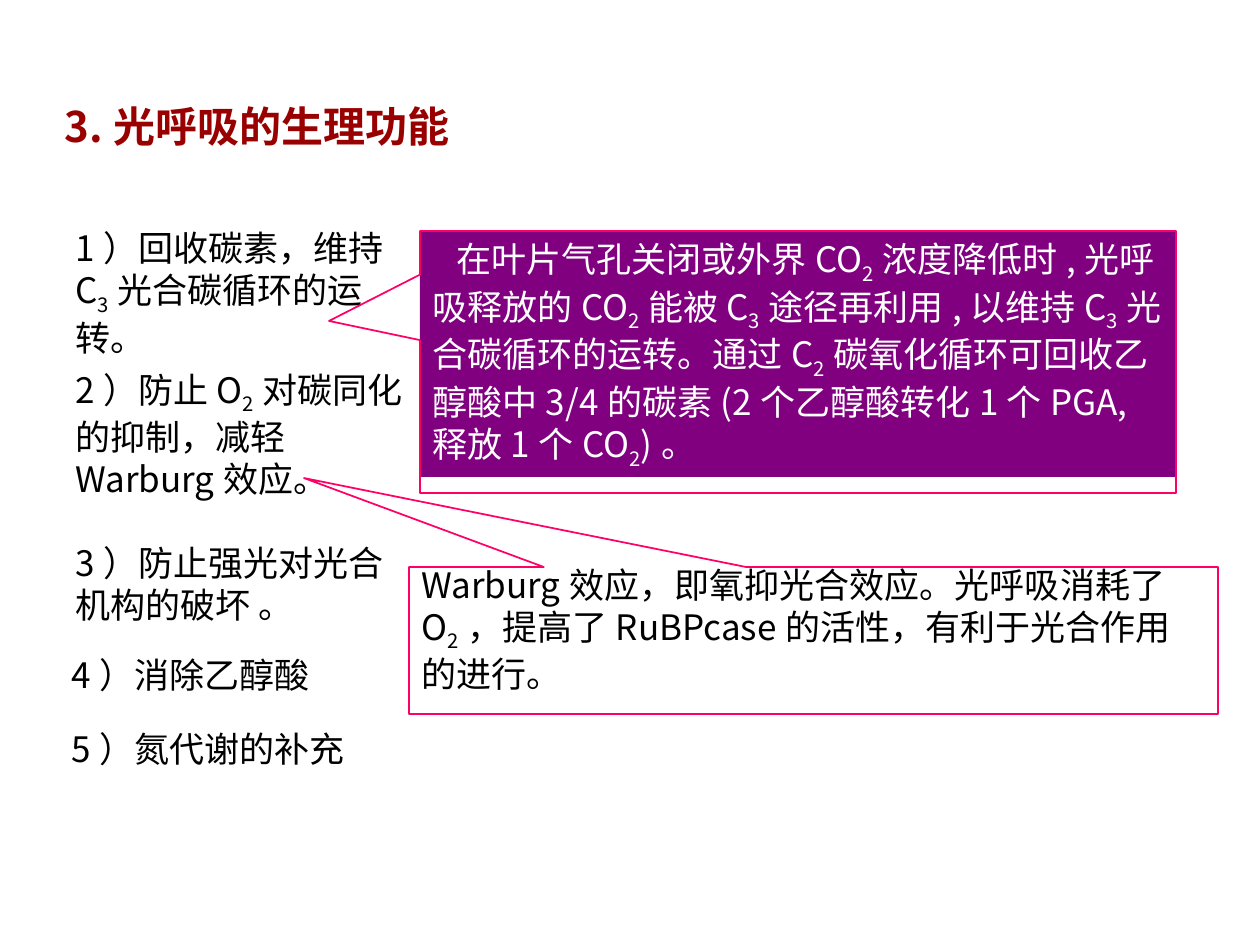
from pptx import Presentation
from pptx.dml.color import RGBColor
from pptx.enum.shapes import MSO_SHAPE as SHAPE
from pptx.enum.text import MSO_ANCHOR as ANCHOR, MSO_AUTO_SIZE as AUTO, PP_ALIGN as ALIGN
from pptx.oxml.ns import qn
from pptx.util import Emu, Pt
from lxml.etree import SubElement

PX_PER_INCH = 126
BLACK = RGBColor(0, 0, 0)
WHITE = RGBColor(255, 255, 255)
DARK_RED = RGBColor(0x99, 0, 0)
PURPLE = RGBColor(0x80, 0, 0x80)
PINK = RGBColor(0xFF, 0, 0x66)
FONT_SC = "Noto Sans CJK SC"
FONT_JP = "Noto Sans CJK JP"

TITLE = "3.光呼吸的生理功能"
# An underscore makes the next character a subscript.
# Each function: text, then left, top, width and height within the list region.
FUNCTIONS = [
    ("1）回收碳素，维持C_3光合碳循环的运转。", 4, 0, 347, 145),
    ("2）防止O_2对碳同化的抑制，减轻Warburg效应。", 4, 142, 368, 145),
    ("3）防止强光对光合机构的破坏 。", 4, 315, 357, 97),
    ("4）消除乙醇酸", 0, 427, 270, 55),
    ("5）氮代谢的补充", 0, 501, 305, 55),
]
RECOVERY = ("在叶片气孔关闭或外界CO_2浓度降低时,光呼吸释放的CO_2能被C_3途径再利用,"
            "以维持C_3光合碳循环的运转。通过C_2碳氧化循环可回收乙醇酸中3/4的碳素"
            "(2个乙醇酸转化1个PGA,释放1个CO_2)。")
WARBURG = "Warburg效应，即氧抑光合效应。光呼吸消耗了O_2，提高了RuBPcase的活性，有利于光合作用的进行。"


def px(n):
    return Emu(round(n * 914400 / PX_PER_INCH))


def prepare_frame(sp):
    tf = sp.text_frame
    tf.word_wrap = True
    tf.auto_size = AUTO.NONE
    tf.vertical_anchor = ANCHOR.TOP
    return tf


def add_run(p, text, size, color, font=FONT_SC, bold=False, subscript=False):
    r = p.add_run()
    r.text = text
    r.font.size, r.font.bold, r.font.name = Pt(size), bold, font
    r.font.color.rgb = color
    rPr = r._r.get_or_add_rPr()
    SubElement(rPr, qn("a:ea")).set("typeface", font)
    if subscript:
        rPr.set("baseline", "-25000")


def write_formula_text(p, text, color=BLACK, font=FONT_SC):
    """Write 20 pt text in which each underscore marks a subscript character."""
    p.alignment = ALIGN.LEFT
    head, *parts = text.split("_")
    add_run(p, head, 20, color, font)
    for part in parts:
        add_run(p, part[0], 20, color, font, subscript=True)
        if part[1:]:
            add_run(p, part[1:], 20, color, font)


def add_formula_box(slide, text, x, y, w, h):
    sp = slide.shapes.add_textbox(px(x), px(y), px(w), px(h))
    write_formula_text(prepare_frame(sp).paragraphs[0], text)


def fill_title(slide, x, y, w, h):
    sp = slide.shapes.title
    sp.left, sp.top, sp.width, sp.height = px(x), px(y), px(w), px(h)
    p = prepare_frame(sp).paragraphs[0]
    p.alignment = ALIGN.LEFT
    add_run(p, TITLE, 24, DARK_RED, bold=True)


def add_functions(slide, x, y):
    """Give each function its own box, so that it wraps clear of the callouts."""
    for text, dx, dy, w, h in FUNCTIONS:
        add_formula_box(slide, text, x + dx, y + dy, w, h)


def add_callout(slide, x, y, w, h, tip_x, tip_y):
    """Outline a box whose pointer ends at the tip, given from the box corner."""
    sp = slide.shapes.add_shape(SHAPE.RECTANGULAR_CALLOUT, px(x), px(y), px(w), px(h))
    sp.adjustments[0] = tip_x / w - 0.5
    sp.adjustments[1] = tip_y / h - 0.5
    sp.fill.background()
    sp.line.color.rgb = PINK
    sp.line.width = Pt(1)
    sp.shadow.inherit = False


def add_recovery_note(slide, x, y, w, h):
    sp = slide.shapes.add_shape(SHAPE.RECTANGLE, px(x), px(y), px(w), px(h - 16))
    sp.fill.solid()
    sp.fill.fore_color.rgb = PURPLE
    sp.line.fill.background()
    sp.shadow.inherit = False
    p = prepare_frame(sp).paragraphs[0]
    p._p.get_or_add_pPr().set("indent", str(px(24)))
    write_formula_text(p, RECOVERY, WHITE, FONT_JP)
    add_callout(slide, x, y, w, h, -91, 90)


def add_warburg_note(slide, x, y, w, h):
    add_formula_box(slide, WARBURG, x, y - 10, w - 4, h - 2)
    add_callout(slide, x, y, w, h, -105, -89)


def main():
    prs = Presentation()
    prs.slide_width, prs.slide_height = px(1260), px(945)
    slide = prs.slides.add_slide(prs.slide_layouts[5])
    fill_title(slide, 52, 94, 1144, 80)
    add_functions(slide, 59, 220)
    add_recovery_note(slide, 420, 231, 756, 262)
    add_warburg_note(slide, 409, 567, 809, 147)
    prs.save("out.pptx")


if __name__ == "__main__":
    main()
